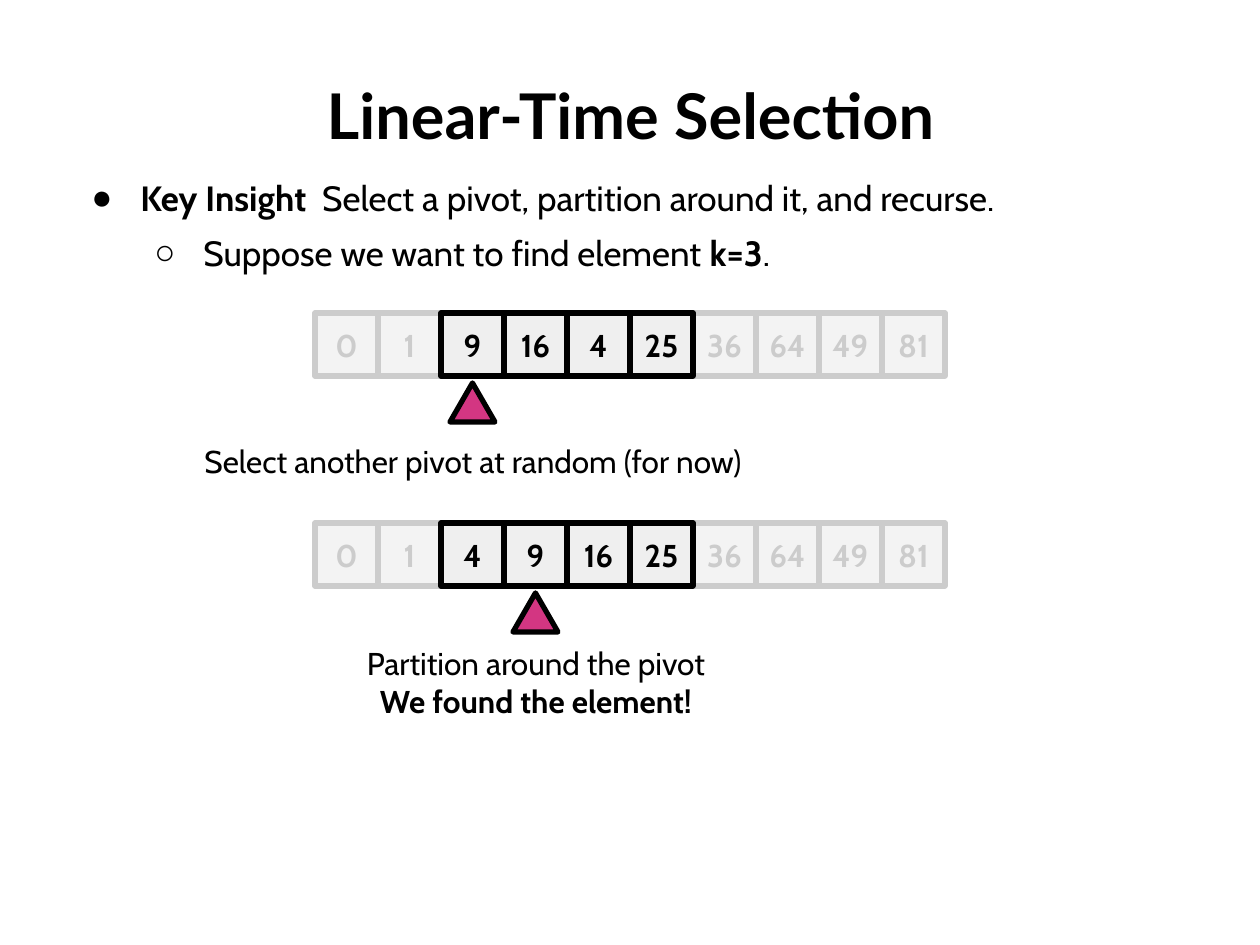
from dataclasses import dataclass

from lxml import etree
from pptx import Presentation, util as u
from pptx.dml.color import RGBColor
from pptx.enum import shapes, text
from pptx.oxml import ns

PX_PER_INCH = 126
COLORS = {
    "ink": "000000",
    "faded": "CCCCCC",
    "active_fill": "EFEFEF",
    "faded_fill": "F3F3F3",
    "pivot": "D33682",
}
CELL = 63
ROW_LEFT = 315
ACTIVE = range(2, 6)


def px(length):
    return u.Emu(round(length * u.Inches(1) / PX_PER_INCH))


def color(name):
    return RGBColor.from_string(COLORS[name])


def write(para, words, font="Cabin", size=18, ink="ink", bold=False):
    span = para.add_run()
    span.text = words
    span.font.name = font
    span.font.size = u.Pt(size)
    span.font.bold = bold
    span.font.color.rgb = color(ink)


@dataclass
class Sketch:
    page: object
    line_width: int = 3
    inset: float = 0.1

    def frame(self, box, anchor, wrap=True):
        frame = box.text_frame
        frame.auto_size = text.MSO_AUTO_SIZE.NONE
        frame.word_wrap = wrap
        frame.vertical_anchor = anchor
        frame.margin_left = frame.margin_right = u.Inches(self.inset)
        frame.margin_top = frame.margin_bottom = u.Inches(self.inset)
        return frame

    def title(self, words, left, top, width, height):
        box = self.page.shapes.title
        box.left, box.top, box.width, box.height = map(px, (left, top, width, height))
        para = self.frame(box, text.MSO_ANCHOR.TOP).paragraphs[0]
        para.alignment = text.PP_ALIGN.CENTER
        write(para, words, font="Lato", size=36, bold=True)

    def textbox(self, left, top, width, height, anchor):
        box = self.page.shapes.add_textbox(*map(px, (left, top, width, height)))
        return self.frame(box, anchor)

    def bullets(self, items, left, top, width, height):
        frame = self.textbox(left, top, width, height, text.MSO_ANCHOR.TOP)
        for level, (mark, spans) in enumerate(items):
            para = frame.add_paragraph() if level else frame.paragraphs[0]
            para.level = level
            if level:
                para.space_before = u.Pt(7.5)
            props = para._p.get_or_add_pPr()
            props.set("marL", str(px(63 * (level + 1))))
            props.set("indent", str(px(-49)))
            tint = etree.SubElement(props, ns.qn("a:buClr"))
            etree.SubElement(tint, ns.qn("a:srgbClr"), val=COLORS["ink"])
            etree.SubElement(props, ns.qn("a:buFont"), typeface="Arial")
            etree.SubElement(props, ns.qn("a:buChar"), char=mark)
            for words, bold in spans:
                write(para, words, size=20, bold=bold)

    def caption(self, lines, left, top, width, height):
        frame = self.textbox(left, top, width, height, text.MSO_ANCHOR.MIDDLE)
        for index, (words, bold) in enumerate(lines):
            para = frame.add_paragraph() if index else frame.paragraphs[0]
            para.alignment = text.PP_ALIGN.CENTER
            write(para, words, bold=bold)

    def shape(self, kind, left, top, width, height, fill, line):
        box = self.page.shapes.add_shape(kind, *map(px, (left, top, width, height)))
        box.shadow.inherit = False
        box.fill.solid()
        box.fill.fore_color.rgb = color(fill)
        box.line.color.rgb = color(line)
        box.line.width = u.Pt(self.line_width)
        etree.SubElement(box.line._get_or_add_ln(), ns.qn("a:round"))
        return box

    def cell(self, value, column, top):
        ink, fill = ("ink", "active_fill") if column in ACTIVE else ("faded", "faded_fill")
        box = self.shape(shapes.MSO_SHAPE.RECTANGLE, ROW_LEFT + column * CELL, top,
                         CELL, CELL, fill, ink)
        para = self.frame(box, text.MSO_ANCHOR.MIDDLE, wrap=False).paragraphs[0]
        para.alignment = text.PP_ALIGN.CENTER
        write(para, str(value), ink=ink, bold=True)

    def array(self, values, pivot, top):
        for column in sorted(range(len(values)), key=lambda c: c in ACTIVE):
            self.cell(values[column], column, top)
        self.shape(shapes.MSO_SHAPE.ISOSCELES_TRIANGLE,
                   ROW_LEFT + values.index(pivot) * CELL + 9, top + 70, 45, 39,
                   "pivot", "ink")


def main():
    deck = Presentation()
    deck.slide_width, deck.slide_height = u.Inches(10), u.Inches(7.5)
    sketch = Sketch(deck.slides.add_slide(deck.slide_layouts[5]))

    sketch.title("Linear-Time Selection", 65, 64, 1131, 100)
    sketch.bullets([
        ("●", [("Key Insight", True),
               ("  Select a pivot, partition around it, and recurse.", False)]),
        ("○", [("Suppose we want to find element ", False), ("k=3", True), (".", False)]),
    ], 65, 164, 1131, 717)

    sketch.array([0, 1, 9, 16, 4, 25, 36, 64, 49, 81], pivot=9, top=313)
    sketch.caption([("Select another pivot at random (for now)", False)], 177, 429, 592, 63)

    sketch.array([0, 1, 4, 9, 16, 25, 36, 64, 49, 81], pivot=9, top=523)
    sketch.caption([("Partition around the pivot", False),
                    ("We found the element!", True)], 310, 632, 452, 100)

    deck.save("out.pptx")


if __name__ == "__main__":
    main()
